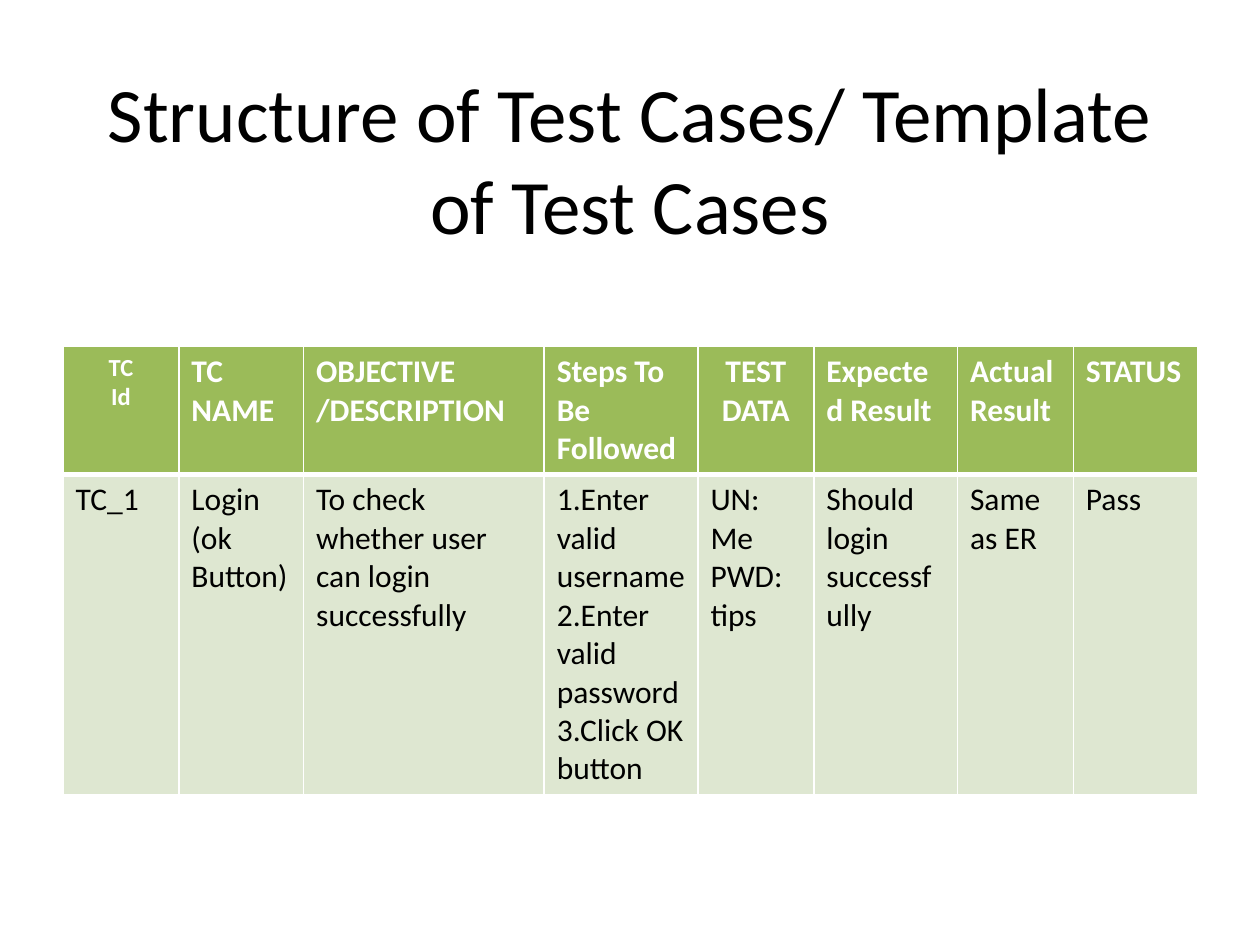
from dataclasses import dataclass

from lxml import etree
from pptx import Presentation
from pptx.dml.color import RGBColor
from pptx.enum.text import MSO_ANCHOR, PP_ALIGN
from pptx.oxml.ns import qn
from pptx.util import Emu, Pt

LEFT, CENTER = PP_ALIGN.LEFT, PP_ALIGN.CENTER
MIDDLE = MSO_ANCHOR.MIDDLE
EMU_PER_PX = 9144  # 100 px to the inch
TITLE_ONLY = 5


@dataclass(frozen=True)
class Theme:
    font: str = "Calibri"
    black: str = "000000"
    white: str = "FFFFFF"
    header_fill: str = "9BBB59"
    body_fill: str = "DEE7D1"
    title_size: int = 44
    text_size: int = 18
    small_size: int = 14
    thin_line: int = 1
    thick_line: int = 3


THEME = Theme()


@dataclass(frozen=True)
class Column:
    width: int
    header: str
    body: str
    header_align: PP_ALIGN = LEFT
    header_size: int = THEME.text_size


COLUMNS = [
    Column(92, "TC\nId", "TC_1", CENTER, THEME.small_size),
    Column(99, "TC NAME", "Login\n(ok Button)"),
    Column(191, "OBJECTIVE /DESCRIPTION", "To check whether user can login successfully"),
    Column(122, "Steps To Be Followed",
           "1.Enter valid username\n2.Enter valid password\n3.Click OK button"),
    Column(92, "TEST DATA", "UN:\nMe\nPWD:\ntips", CENTER),
    Column(114, "Expected Result", "Should login successfully"),
    Column(92, "Actual Result", "Same as ER"),
    Column(99, "STATUS", "Pass"),
]
ROW_HEIGHTS = (100, 250)


def px(length: int) -> Emu:
    return Emu(length * EMU_PER_PX)


def write_text(frame, text: str, size: int, color: str, align: PP_ALIGN, bold: bool = False) -> None:
    frame.text = text
    for para in frame.paragraphs:
        para.alignment = align
        para.font.name = THEME.font
        para.font.size = Pt(size)
        para.font.bold = bold
        para.font.color.rgb = RGBColor.from_string(color)


def add_borders(cell, top: int, bottom: int) -> None:
    """Add the four cell borders; call before the fill, as the schema orders them."""
    properties = cell._tc.get_or_add_tcPr()
    thin = THEME.thin_line
    for side, width in (("L", thin), ("R", thin), ("T", top), ("B", bottom)):
        line = etree.SubElement(properties, qn(f"a:ln{side}"), w=str(Pt(width)))
        fill = etree.SubElement(line, qn("a:solidFill"))
        etree.SubElement(fill, qn("a:srgbClr"), val=THEME.white)


def fill_cell(cell, color: str) -> None:
    cell.fill.solid()
    cell.fill.fore_color.rgb = RGBColor.from_string(color)


def add_title(page, text: str) -> None:
    title = page.shapes.title
    title.left, title.top, title.width, title.height = map(px, (50, 25, 900, 200))
    title.text_frame.vertical_anchor = MIDDLE
    write_text(title.text_frame, text, THEME.title_size, THEME.black, CENTER)


def add_test_case_table(page, columns: list[Column]) -> None:
    width = sum(column.width for column in columns)
    frame = page.shapes.add_table(len(ROW_HEIGHTS), len(columns), px(50), px(275),
                                  px(width), px(sum(ROW_HEIGHTS)))
    table = frame.table
    for row, height in zip(table.rows, ROW_HEIGHTS):
        row.height = px(height)
    for index, column in enumerate(columns):
        table.columns[index].width = px(column.width)
        header, body = table.cell(0, index), table.cell(1, index)
        write_text(header.text_frame, column.header, column.header_size,
                   THEME.white, column.header_align, bold=True)
        write_text(body.text_frame, column.body, THEME.text_size, THEME.black, LEFT)
        add_borders(header, THEME.thin_line, THEME.thick_line)
        add_borders(body, THEME.thick_line, THEME.thin_line)
        fill_cell(header, THEME.header_fill)
        fill_cell(body, THEME.body_fill)


def main() -> None:
    deck = Presentation()
    deck.slide_width, deck.slide_height = px(1000), px(750)
    page = deck.slides.add_slide(deck.slide_layouts[TITLE_ONLY])
    add_title(page, "Structure of Test Cases/ Template of Test Cases")
    add_test_case_table(page, COLUMNS)
    deck.save("out.pptx")


if __name__ == "__main__":
    main()
